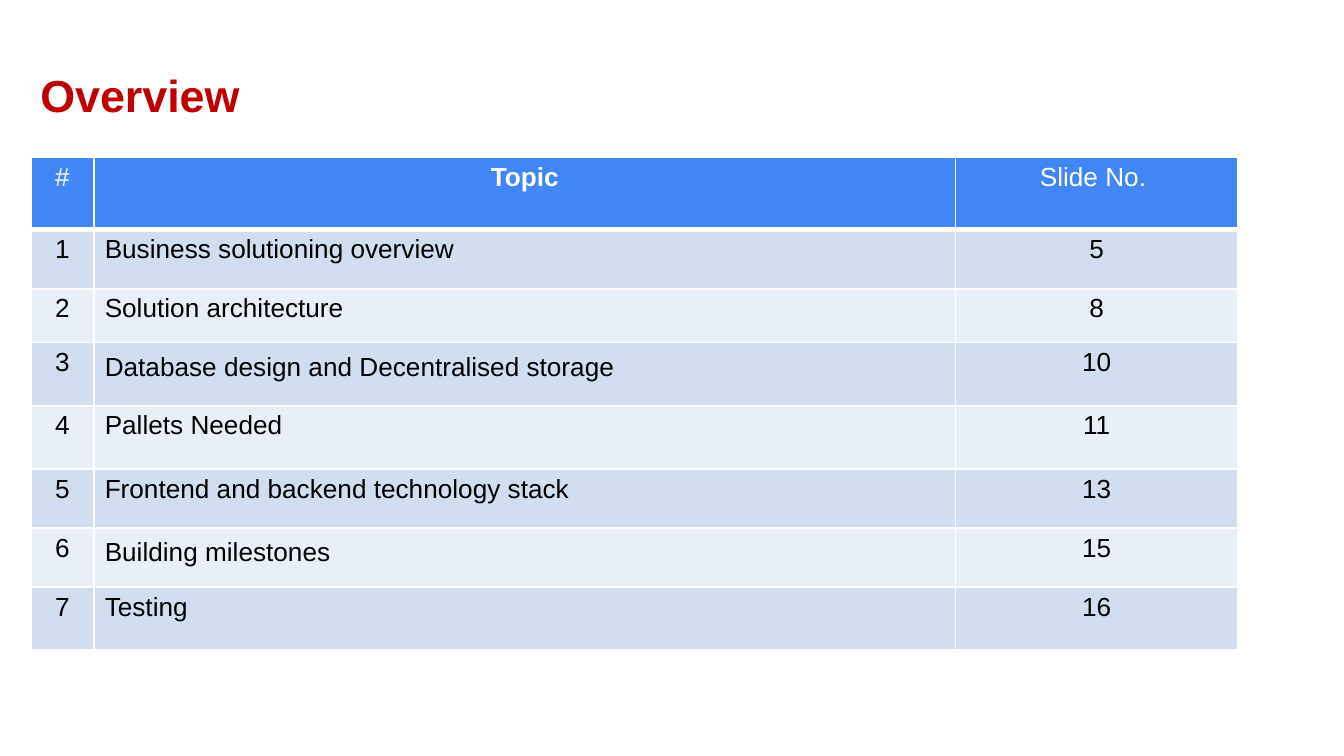
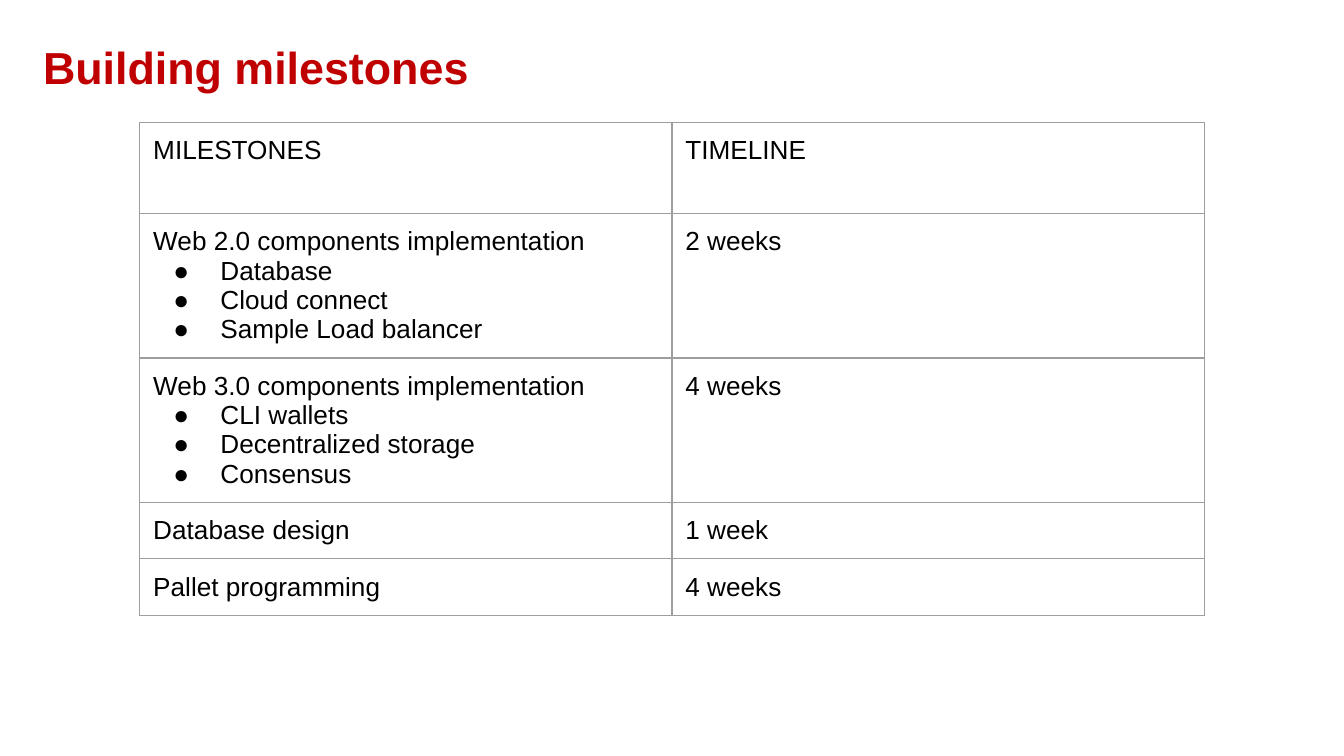
from lxml import etree
from pptx import Presentation
from pptx.dml.color import RGBColor
from pptx.enum.text import MSO_ANCHOR as Anchor, PP_ALIGN as Align
from pptx.oxml import parse_xml
from pptx.oxml.ns import nsdecls, qn
from pptx.util import Inches, Pt

FONT = "Arial"
RED, BLUE, WHITE, BLACK, GREY = "C00000", "4285F4", "FFFFFF", "000000", "9E9E9E"
BANDS = ["D0DEEF", "E9EFF7"]


def write(frame, text, bullets=(), size=14, color=BLACK, bold=False,
          align=Align.LEFT, spacing=None):
    """Put text in the frame, followed by one bulleted paragraph per bullet."""
    for number, line in enumerate([text, *bullets]):
        paragraph = frame.add_paragraph() if number else frame.paragraphs[0]
        paragraph.alignment = align
        if spacing:
            paragraph.line_spacing = spacing
        run = paragraph.add_run()
        run.text = line
        run.font.name, run.font.size, run.font.bold = FONT, Pt(size), bold
        run.font.color.rgb = RGBColor.from_string(color)
        if number:
            props = paragraph._p.get_or_add_pPr()
            props.set("marL", str(Inches(0.5)))
            props.set("indent", str(Inches(-0.35)))
            bullet_color = etree.SubElement(props, qn("a:buClr"))
            etree.SubElement(bullet_color, qn("a:srgbClr"), val=color)
            etree.SubElement(props, qn("a:buFont"), typeface=FONT)
            etree.SubElement(props, qn("a:buChar"), char="●")


def add_grid(slide, left, top, widths, heights, margins, fills, border, weights):
    """Add an empty table; fills has one colour or None per row, weights one
    line width per horizontal rule, the first of which also serves the sides."""
    table = slide.shapes.add_table(
        len(heights), len(widths), Inches(left), Inches(top),
        Inches(sum(widths)), Inches(sum(heights))).table
    table.first_row = table.horz_banding = False
    for column, width in zip(table.columns, widths):
        column.width = Inches(width)
    for index, (row, height, fill) in enumerate(zip(table.rows, heights, fills)):
        row.height = Inches(height)
        sides = {"L": weights[0], "R": weights[0],
                 "T": weights[index], "B": weights[index + 1]}
        for cell in row.cells:
            cell.margin_left = cell.margin_right = Inches(margins[0])
            cell.margin_top = cell.margin_bottom = Inches(margins[1])
            if fill:
                cell.fill.solid()
                cell.fill.fore_color.rgb = RGBColor.from_string(fill)
            else:
                cell.fill.background()
            for place, (side, weight) in enumerate(sides.items()):
                cell._tc.get_or_add_tcPr().insert(place, parse_xml(
                    f'<a:ln{side} {nsdecls("a")} w="{Pt(weight)}"><a:solidFill>'
                    f'<a:srgbClr val="{border}"/></a:solidFill></a:ln{side}>'))
    return table


deck = Presentation()
deck.slide_width = Inches(10)
deck.slide_height = deck.slide_width * 9 // 16

headings = [
    ("Overview", (0.23, 0.56, 2.96, 0.34)),
    ("Building milestones", (0.25, 0.16, 8.62, 0.72)),
]
for heading, box in headings:
    title = deck.slides.add_slide(deck.slide_layouts[5]).shapes.title
    title.left, title.top, title.width, title.height = map(Inches, box)
    frame = title.text_frame
    frame.word_wrap = True
    frame.vertical_anchor = Anchor.MIDDLE
    frame.margin_left = frame.margin_right = Inches(0.07)
    frame.margin_top = frame.margin_bottom = Inches(0.04)
    write(frame, heading, size=24, color=RED, bold=True, spacing=0.9)
overview, milestones = deck.slides

# Overview: numbered topics with the slide each starts on
topics = [
    ("Business solutioning overview", 5, None),
    ("Solution architecture", 8, None),
    ("Database design and Decentralised storage", 10, 1.15),
    ("Pallets Needed", 11, None),
    ("Frontend and backend technology stack", 13, None),
    ("Building milestones", 15, 1.15),
    ("Testing", 16, None),
]
agenda = add_grid(
    overview, 0.23, 1.17, [0.47, 6.41, 2.1],
    [0.54, 0.44, 0.4, 0.47, 0.47, 0.44, 0.44, 0.47], (0.08, 0.04),
    [BLUE] + [BANDS[index % 2] for index in range(len(topics))],
    WHITE, [1, 3] + [1] * len(topics))
for column, label in enumerate(["#", "Topic", "Slide No. "]):
    write(agenda.cell(0, column).text_frame, label, color=WHITE,
          bold=label == "Topic", align=Align.CENTER)
for number, (topic, slide_number, spacing) in enumerate(topics, 1):
    write(agenda.cell(number, 0).text_frame, str(number), align=Align.CENTER)
    write(agenda.cell(number, 1).text_frame, topic, spacing=spacing)
    write(agenda.cell(number, 2).text_frame, str(slide_number), align=Align.CENTER)

# Building milestones: work packages and their durations
schedule = [
    ("MILESTONES", [], "TIMELINE"),
    ("Web 2.0 components implementation",
     ["Database", "Cloud connect", "Sample Load balancer"], "2 weeks"),
    ("Web 3.0 components implementation",
     ["CLI wallets", "Decentralized storage", "Consensus"], "4 weeks"),
    ("Database design", [], "1 week"),
    ("Pallet programming", [], "4 weeks"),
]
plan = add_grid(
    milestones, 1.04, 0.91, [3.96] * 2, [0.68] + [0.42] * 4, (0.1, 0.1),
    [None] * len(schedule), GREY, [0.75] * (len(schedule) + 1))
for row, (milestone, parts, duration) in enumerate(schedule):
    write(plan.cell(row, 0).text_frame, milestone, bullets=parts)
    write(plan.cell(row, 1).text_frame, duration)

deck.save("out.pptx")
